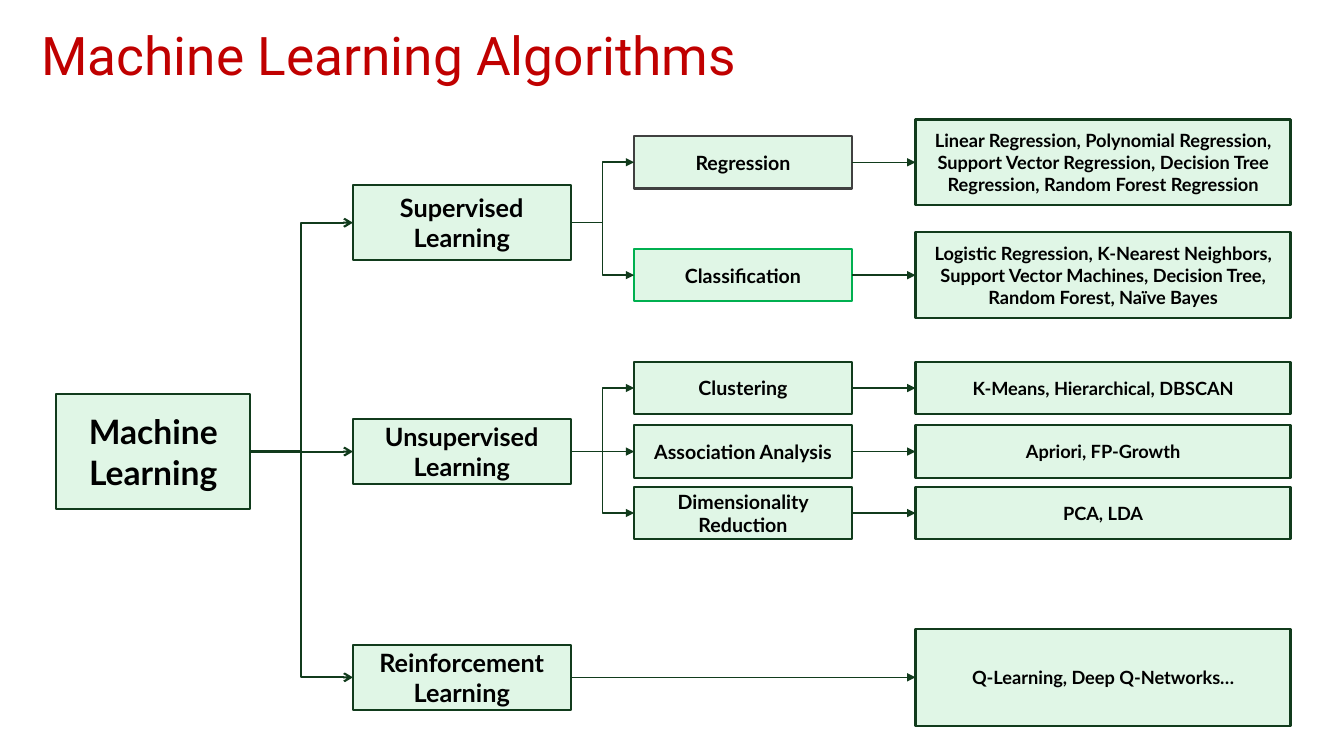
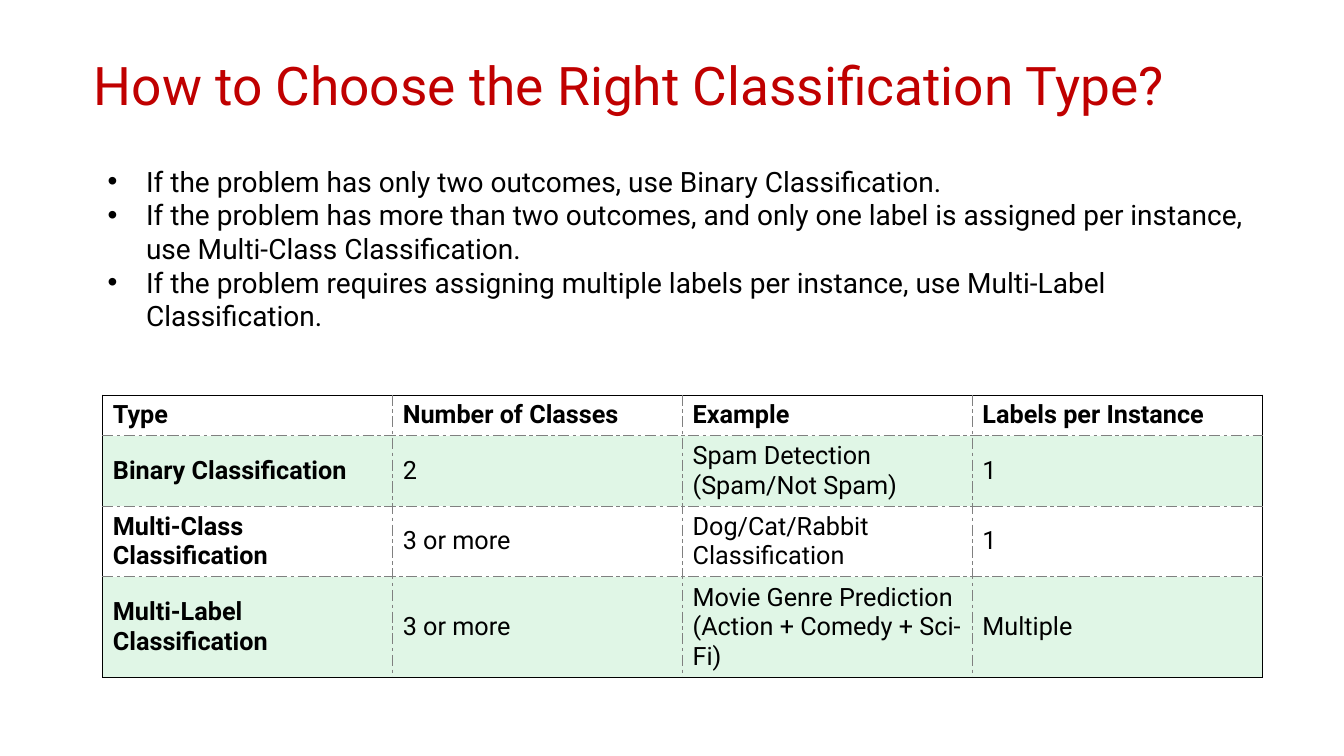
from lxml import etree
from pptx import Presentation
from pptx.dml.color import RGBColor
from pptx.enum.shapes import MSO_CONNECTOR as Conn, MSO_SHAPE as Shape
from pptx.enum.text import MSO_ANCHOR as Anchor, MSO_AUTO_SIZE as Auto, PP_ALIGN as Align
from pptx.oxml import parse_xml
from pptx.oxml.ns import nsdecls, qn
from pptx.util import Inches, Pt

RED = RGBColor(0xC0, 0x00, 0x00)
BLACK = RGBColor(0x00, 0x00, 0x00)
GRAY = RGBColor(0x80, 0x80, 0x80)
SLATE = RGBColor(0x40, 0x40, 0x40)
MINT = RGBColor(0xE0, 0xF6, 0xE6)
PINE = RGBColor(0x11, 0x3B, 0x1C)
GREEN = RGBColor(0x00, 0xB0, 0x50)


def write(frame, text, size=18, font="Roboto", color=BLACK, bold=False,
          align=Align.LEFT, anchor=Anchor.TOP, space=1.0, bullet=None):
    frame.word_wrap = True
    frame.vertical_anchor = anchor
    for i, line in enumerate(text.split("\n")):
        para = frame.add_paragraph() if i else frame.paragraphs[0]
        para.alignment = align
        para.line_spacing = space
        if bullet:
            props = para._p.get_or_add_pPr()
            props.set("marL", str(Inches(0.38)))
            props.set("indent", str(-Inches(0.38)))
            etree.SubElement(props, qn("a:buFont"), typeface="Arial")
            etree.SubElement(props, qn("a:buChar"), char=bullet)
        run = para.add_run()
        run.text = line
        run.font.size = Pt(size)
        run.font.name = font
        run.font.bold = bold
        run.font.color.rgb = color


def link(slide, start, end, bent, width, head):
    kind = Conn.ELBOW if bent else Conn.STRAIGHT
    wire = slide.shapes.add_connector(kind, 0, 0, 0, 0)
    wire.begin_connect(start, 3)
    wire.end_connect(end, 1)
    wire.line.color.rgb = PINE
    wire.line.width = Pt(width)
    etree.SubElement(wire.line._get_or_add_ln(), qn("a:tailEnd"), type=head)
    etree.SubElement(wire._element.spPr, qn("a:effectLst"))


deck = Presentation()
deck.slide_width = Inches(13.33)
deck.slide_height = Inches(7.5)

heads = [
    ("Machine Learning Algorithms", 0.31, 0.24, 13.02),
    ("How to Choose the Right Classification Type?", 0.83, 0.54, 11.94),
]
slides = []
for text, left, top, width in heads:
    slide = deck.slides.add_slide(deck.slide_layouts[5])
    title = slide.shapes.title
    title.left, title.top = Inches(left), Inches(top)
    title.width, title.height = Inches(width), Inches(0.92)
    title.text_frame.auto_size = Auto.NONE
    write(title.text_frame, text, size=38, color=RED, space=0.9)
    slides.append(slide)
tree, guide = slides

cols = [(0.56, 1.92, 24), (3.5, 2.16, 18), (6.29, 2.16, 14), (9.08, 3.72, 13)]
nodes = [
    ("Machine Learning", 0, 4.48, 1.14, None),
    ("Supervised Learning", 1, 2.21, 0.74, "Machine Learning"),
    ("Unsupervised Learning", 1, 4.48, 0.65, "Machine Learning"),
    ("Reinforcement Learning", 1, 6.72, 0.65, "Machine Learning"),
    ("Regression", 2, 1.61, 0.52, "Supervised Learning"),
    ("Classification", 2, 2.73, 0.52, "Supervised Learning"),
    ("Clustering", 2, 3.85, 0.52, "Unsupervised Learning"),
    ("Association Analysis", 2, 4.48, 0.52, "Unsupervised Learning"),
    ("Dimensionality Reduction", 2, 5.09, 0.52, "Unsupervised Learning"),
    ("Linear Regression, Polynomial Regression, Support Vector Regression, "
     "Decision Tree Regression, Random Forest Regression", 3, 1.61, 0.85, "Regression"),
    ("Logistic Regression, K-Nearest Neighbors, Support Vector Machines, "
     "Decision Tree, Random Forest, Naïve Bayes", 3, 2.73, 0.85, "Classification"),
    ("K-Means, Hierarchical, DBSCAN", 3, 3.85, 0.52, "Clustering"),
    ("Apriori, FP-Growth", 3, 4.48, 0.52, "Association Analysis"),
    ("PCA, LDA", 3, 5.09, 0.52, "Dimensionality Reduction"),
    ("Q-Learning, Deep Q-Networks…", 3, 6.72, 0.96, "Reinforcement Learning"),
]
edges = {"Regression": SLATE, "Classification": GREEN}
boxes = {}
mids = {}
for text, col, mid, height, root in nodes:
    left, width, size = cols[col]
    box = tree.shapes.add_shape(Shape.RECTANGLE, Inches(left), Inches(mid - height / 2),
                                Inches(width), Inches(height))
    box.shadow.inherit = False
    box.fill.solid()
    box.fill.fore_color.rgb = MINT
    box.line.color.rgb = edges.get(text, PINE)
    box.line.width = Pt(1.5)
    write(box.text_frame, text, size=size, font="Lato", bold=True,
          align=Align.CENTER, anchor=Anchor.MIDDLE)
    boxes[text], mids[text] = box, mid
    if root:
        width, head = (1.5, "arrow") if col == 1 else (1, "triangle")
        link(tree, boxes[root], box, mids[root] != mid, width, head)

tips = guide.shapes.add_textbox(Inches(0.97), Inches(1.58), Inches(11.65), Inches(1.45))
write(tips.text_frame,
      "If the problem has only two outcomes, use Binary Classification.\n"
      "If the problem has more than two outcomes, and only one label is assigned "
      "per instance, use Multi-Class Classification.\n"
      "If the problem requires assigning multiple labels per instance, "
      "use Multi-Label Classification.", size=20, bullet="•")

rows = [
    ("Type", "Number of Classes", "Example", "Labels per Instance"),
    ("Binary Classification", "2", "Spam Detection (Spam/Not Spam)", "1"),
    ("Multi-Class Classification", "3 or more", "Dog/Cat/Rabbit Classification", "1"),
    ("Multi-Label Classification", "3 or more",
     "Movie Genre Prediction (Action + Comedy + Sci-Fi)", "Multiple"),
]
highs = [0.4, 0.7, 0.7, 1.0]
last = len(rows) - 1
end = len(rows[0]) - 1
grid = guide.shapes.add_table(len(rows), len(rows[0]), Inches(1.02), Inches(3.92),
                              Inches(11.5), Inches(sum(highs))).table
grid.first_row = False
grid.horz_banding = False
for r, row in enumerate(rows):
    grid.rows[r].height = Inches(highs[r])
    for c, text in enumerate(row):
        cell = grid.cell(r, c)
        cell.vertical_anchor = Anchor.MIDDLE
        write(cell.text_frame, text, bold=r == 0 or c == 0, anchor=None)
        sides = {"L": c == 0, "R": c == end, "T": r == 0, "B": r == last}
        for side, outer in sides.items():
            color, dash = (BLACK, "solid") if outer else (GRAY, "sysDashDot")
            cell._tc.get_or_add_tcPr().append(parse_xml(
                f'<a:ln{side} {nsdecls("a")} w="{Pt(1)}"><a:solidFill>'
                f'<a:srgbClr val="{color}"/></a:solidFill>'
                f'<a:prstDash val="{dash}"/></a:ln{side}>'))
        if r % 2:
            cell.fill.solid()
            cell.fill.fore_color.rgb = MINT
        else:
            cell.fill.background()

deck.save("out.pptx")
